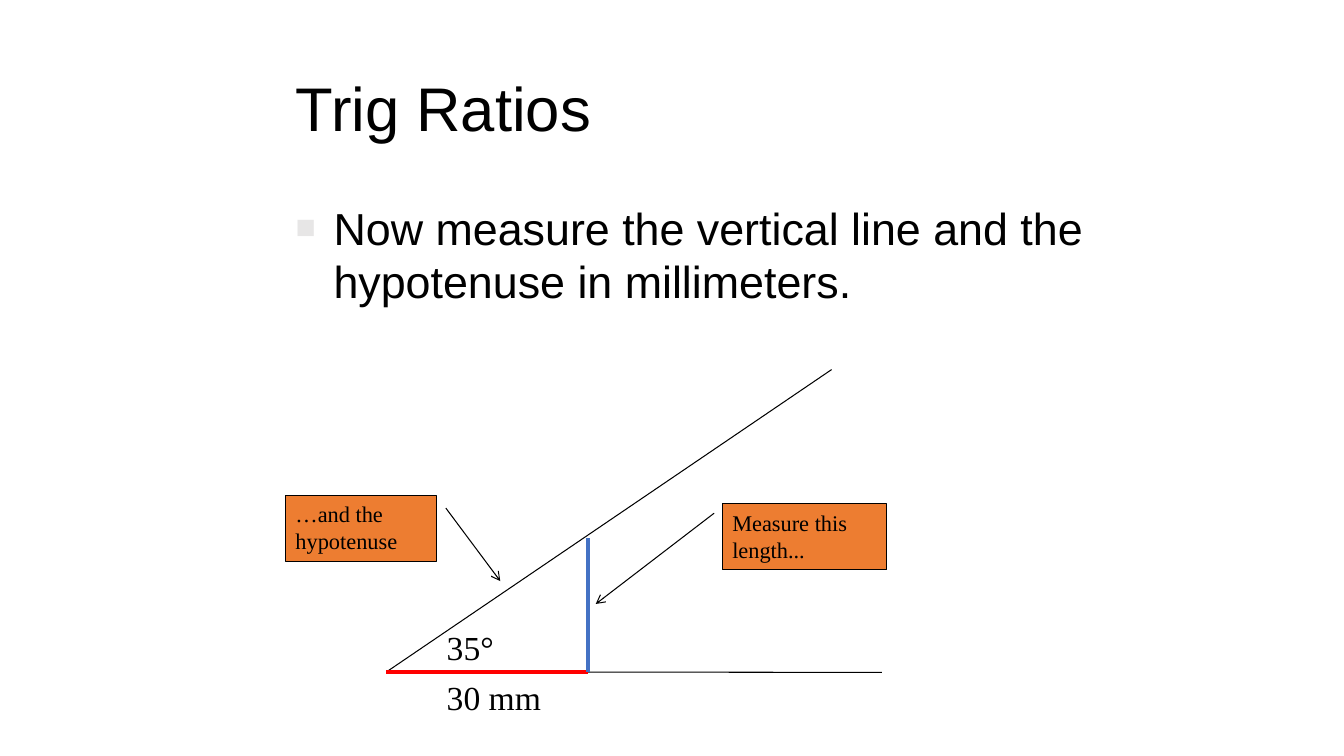
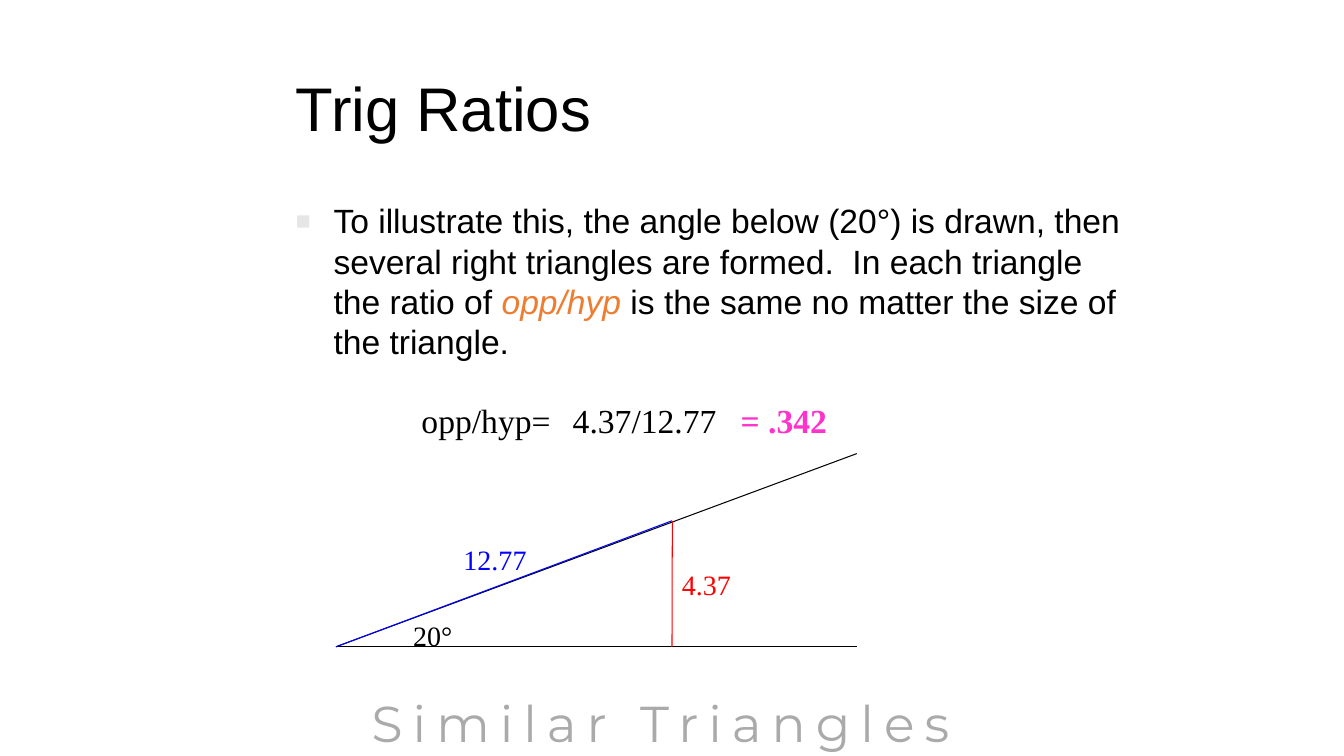
from pptx import Presentation
from pptx.dml.color import RGBColor
from pptx.enum.shapes import MSO_CONNECTOR, MSO_SHAPE
from pptx.enum.text import MSO_ANCHOR, MSO_AUTO_SIZE, PP_ALIGN
from pptx.oxml.ns import qn
from pptx.util import Pt
from lxml.etree import SubElement

BLACK = RGBColor(0x00, 0x00, 0x00)
RED = RGBColor(0xFF, 0x00, 0x00)
BLUE = RGBColor(0x00, 0x00, 0xFF)
STEEL = RGBColor(0x44, 0x72, 0xC4)
ORANGE = RGBColor(0xED, 0x7D, 0x31)
PINK = RGBColor(0xFF, 0x33, 0xCC)
GRAY = RGBColor(0xAA, 0xAA, 0xAA)
BULLET_GRAY = RGBColor(0xE7, 0xE6, 0xE6)
SANS, SERIF, DISPLAY = "Arial", "Times New Roman", "Montserrat"

THIN, THICK = 0.75, 2.25
BULLET_INDENT = 27
TITLE_FRAME = (204, 31.5, 612, 90)
BODY_FRAME = (204, 139.5, 612, 324)

# Lines: start, end, colour, width. Labels: text, frame, size, colour, bold.
# Callouts: text, frame, pointer adjustments (y, x of start, then of end).
SLIDES = [
    {
        "title": "Trig Ratios",
        "body_size": 32,
        "body": [("Now measure the vertical line and the hypotenuse in millimeters.", {})],
        "lines": [
            ((276, 480), (630, 480.25), BLACK, THIN),
            ((276, 480), (594, 264), BLACK, THIN),
            ((276, 480), (420, 480), RED, THICK),
            ((420, 480), (420, 384), STEEL, THICK),
        ],
        "labels": [
            ("35°", (312, 444, 90, 36), 24, BLACK, False),
            ("30 mm", (312, 480, 90, 36), 24, BLACK, False),
        ],
        "callouts": [
            ("Measure this length...", (516, 360, 117.5, 47), (0.14, -0.05, 1.52, -0.77)),
            ("…and the hypotenuse", (204, 354, 108, 47), (0.19, 1.06, 1.3, 1.42)),
        ],
    },
    {
        "title": "Trig Ratios",
        "body_size": 24,
        "body": [
            ("To illustrate this, the angle below (20°) is drawn, then several right "
             "triangles are formed.  In each triangle the ratio of ", {}),
            ("opp/hyp", {"italic": True, "color": ORANGE}),
            (" is the same no matter the size of the triangle.", {}),
        ],
        "lines": [
            ((240, 462), (612, 462), BLACK, THIN),
            ((240, 462), (612, 324), BLACK, THIN),
            ((480, 462), (480.25, 372), RED, THIN),
            ((240, 462), (480, 372), BLUE, THIN),
        ],
        "labels": [
            ("20°", (288, 438, 66, 31), 20, BLACK, False),
            ("4.37", (480, 402, 78, 31), 20, RED, False),
            ("12.77", (324, 384, 78, 31), 20, BLUE, False),
            ("opp/hyp=", (294, 282, 114, 36), 24, BLACK, False),
            ("4.37/12.77", (402, 282, 120, 36), 24, BLACK, False),
            ("= .342", (522, 282, 114, 36), 24, PINK, True),
        ],
        "callouts": [],
        "banner": ("Similar Triangles", (222, 491, 500, 49), 36, 7.2),
    },
]


def points(values):
    return [Pt(value) for value in values]


def place(shape, frame):
    for name, value in zip(("left", "top", "width", "height"), points(frame)):
        setattr(shape, name, value)


def set_font(font, **values):
    values = {"color": BLACK, "bold": False, "italic": False, **values}
    font.color.rgb = values.pop("color")
    for name, value in values.items():
        setattr(font, name, value)


def add_span(para, text, **values):
    span = para.add_run()
    span.text = text
    set_font(span.font, **values)
    return span


def add_bullet(para):
    properties = para._p.get_or_add_pPr()
    properties.set("marL", str(Pt(BULLET_INDENT)))
    properties.set("indent", str(-Pt(BULLET_INDENT)))
    color = SubElement(properties, qn("a:buClr"))
    SubElement(color, qn("a:srgbClr"), val=str(BULLET_GRAY))
    SubElement(properties, qn("a:buSzPct"), val="75000")
    SubElement(properties, qn("a:buFont"), typeface=SANS)
    SubElement(properties, qn("a:buChar"), char="■")


def fill_placeholder(shape, spans, frame, size, anchor):
    place(shape, frame)
    box = shape.text_frame
    box.auto_size = MSO_AUTO_SIZE.NONE
    box.vertical_anchor = anchor
    para = box.paragraphs[0]
    para.alignment = PP_ALIGN.LEFT
    para.space_before = Pt(0)
    for text, values in spans:
        add_span(para, text, **{"name": SANS, "size": Pt(size), **values})
    return para


def add_line(page, start, end, color, width):
    line = page.shapes.add_connector(MSO_CONNECTOR.STRAIGHT, *points(start + end))
    line.line.color.rgb = color
    line.line.width = Pt(width)
    SubElement(line._element.spPr, qn("a:effectLst"))


def add_label(page, text, frame, size, color, bold):
    box = page.shapes.add_textbox(*points(frame)).text_frame
    box.word_wrap = True
    add_span(box.paragraphs[0], text, name=SERIF, size=Pt(size), color=color, bold=bold)


def add_callout(page, text, frame, pointer):
    callout = page.shapes.add_shape(MSO_SHAPE.LINE_CALLOUT_1, *points(frame))
    callout.shadow.inherit = False
    for index, value in enumerate(pointer):
        callout.adjustments[index] = value
    callout.fill.solid()
    callout.fill.fore_color.rgb = ORANGE
    callout.line.color.rgb = BLACK
    callout.line.width = Pt(THIN)
    SubElement(callout.line._get_or_add_ln(), qn("a:tailEnd"), type="arrow")
    box = callout.text_frame
    box.word_wrap = True
    box.vertical_anchor = MSO_ANCHOR.TOP
    para = box.paragraphs[0]
    para.alignment = PP_ALIGN.LEFT
    add_span(para, text, name=SERIF, size=Pt(16))


def add_banner(page, text, frame, size, spacing):
    """Add a centred, letter-spaced line of text in a frame wide enough to hold it."""
    box = page.shapes.add_textbox(*points(frame)).text_frame
    box.word_wrap = True
    para = box.paragraphs[0]
    para.alignment = PP_ALIGN.CENTER
    span = add_span(para, text, name=DISPLAY, size=Pt(size), color=GRAY)
    span.font._element.set("spc", str(round(spacing * 100)))


def build_page(deck, content):
    page = deck.slides.add_slide(deck.slide_layouts[1])
    title, body = page.placeholders
    fill_placeholder(title, [(content["title"], {})], TITLE_FRAME, 44, MSO_ANCHOR.MIDDLE)
    add_bullet(fill_placeholder(body, content["body"], BODY_FRAME,
                                content["body_size"], MSO_ANCHOR.TOP))
    for line in content["lines"]:
        add_line(page, *line)
    for label in content["labels"]:
        add_label(page, *label)
    for callout in content["callouts"]:
        add_callout(page, *callout)
    if "banner" in content:
        add_banner(page, *content["banner"])


def main():
    deck = Presentation()
    deck.slide_width, deck.slide_height = Pt(960), Pt(540)
    for content in SLIDES:
        build_page(deck, content)
    deck.save("out.pptx")


if __name__ == "__main__":
    main()
